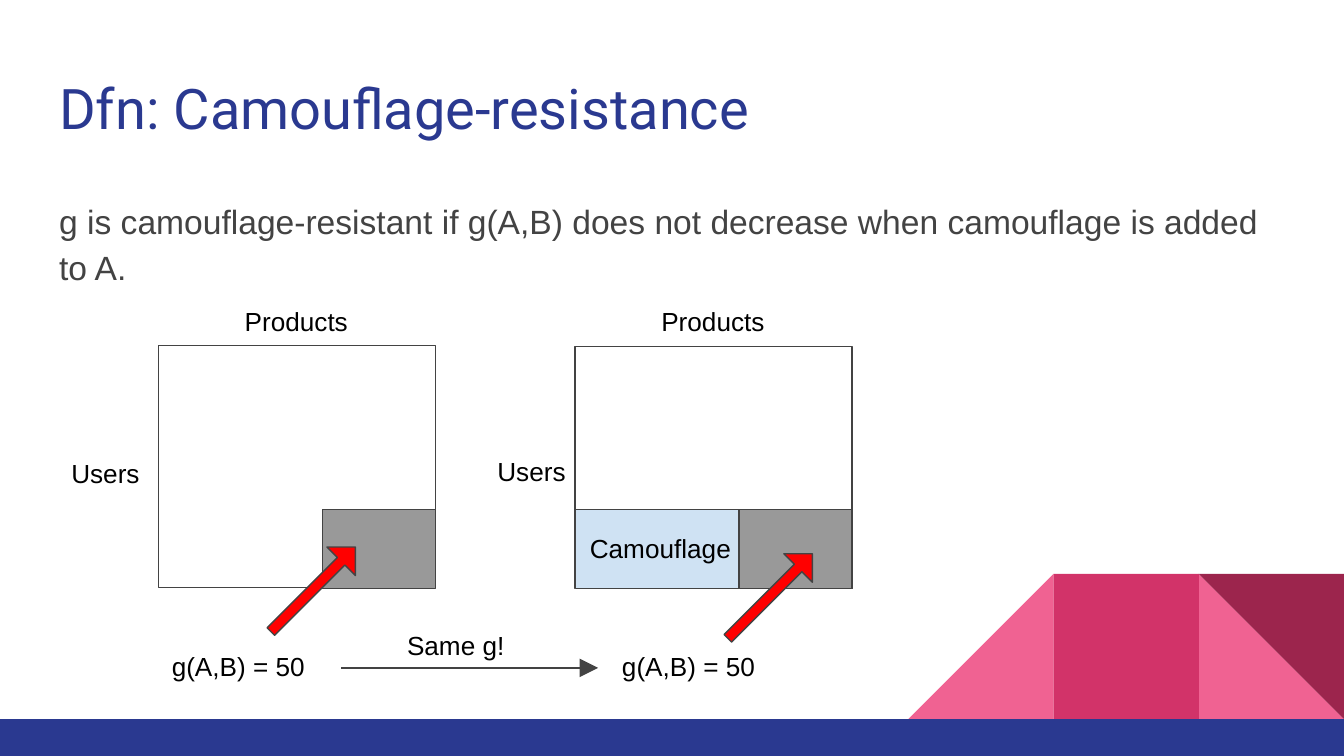
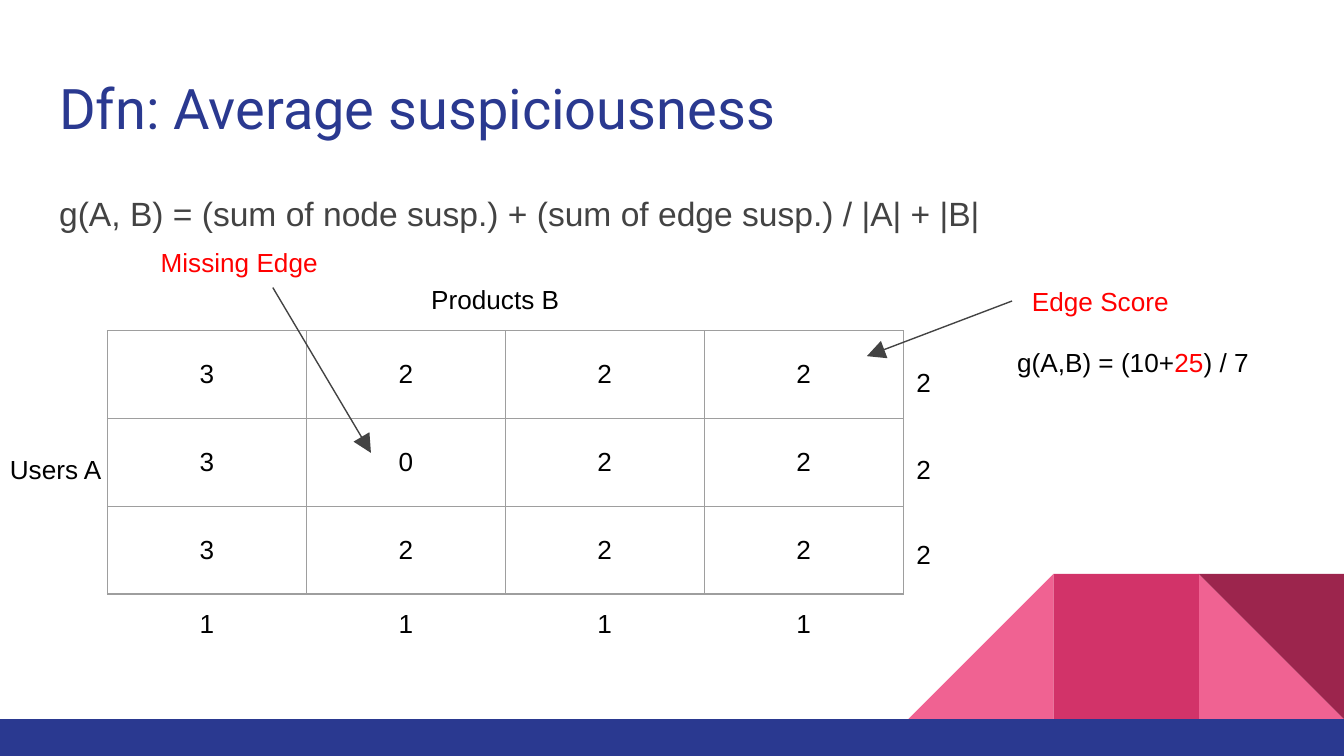
from dataclasses import dataclass

from lxml.etree import SubElement
from pptx import Presentation
from pptx.dml.color import RGBColor
from pptx.enum.shapes import MSO_CONNECTOR, MSO_SHAPE
from pptx.enum.text import MSO_ANCHOR, MSO_AUTO_SIZE, PP_ALIGN
from pptx.oxml import parse_xml
from pptx.oxml.ns import nsdecls, qn
from pptx.util import Inches, Pt


@dataclass(frozen=True)
class Theme:
    """Colours, fonts and sizes shared by the slides."""
    navy: str = "2A3990"
    pink: str = "F06292"
    rose: str = "D23369"
    wine: str = "9C254D"
    ink: str = "434343"
    black: str = "000000"
    white: str = "FFFFFF"
    red: str = "FF0000"
    gray: str = "999999"
    sky: str = "CFE2F3"
    grid: str = "9E9E9E"
    heading_font: str = "Roboto"
    text_font: str = "Arial"
    title_size: int = 30
    body_size: int = 18
    label_size: int = 14
    line_width: float = 0.75
    inset: float = 0.1


def apply_format(target, values):
    """Set each attribute named in values on target."""
    for name, value in values.items():
        setattr(target, name, value)


def box(left, top, width, height):
    """Return the position and size as lengths."""
    return [Inches(v) for v in (left, top, width, height)]


class Deck:
    """Holds the theme, the presentation and the current slide."""

    def __init__(self, theme):
        """Start a 16:9 presentation and pick its content layout."""
        self.theme = theme
        self.deck = Presentation()
        apply_format(self.deck, {"slide_width": Inches(10),
                                 "slide_height": Inches(10 * 9 / 16)})
        self.layout = self.deck.slide_layouts.get_by_name("Title and Content")
        self.slide = None

    def new_slide(self, title, body, body_top, body_height):
        """Add a slide and fill its title and body placeholders."""
        t = self.theme
        self.slide = self.deck.slides.add_slide(self.layout)
        if len(self.deck.slides) == 1:
            self.decorate_layout()
        heading, content = self.slide.placeholders
        self.placeholder(heading, title, (0.34, 0.45, 9.32, 0.66),
                         t.heading_font, t.title_size, t.navy)
        self.placeholder(content, body, (0.34, body_top, 9.32, body_height),
                         t.text_font, t.body_size, t.ink)
        paragraph = content.text_frame.paragraphs[0]
        apply_format(paragraph, {"line_spacing": 1.15, "space_before": Pt(0),
                                 "space_after": Pt(16)})
        props = paragraph._p.get_or_add_pPr()
        props.set("marL", "0")
        props.set("indent", "0")
        SubElement(props, qn("a:buNone"))

    def decorate_layout(self):
        """Draw the footer band and folded ribbon, and move them to the layout."""
        t, side, top = self.theme, 1.08, 4.27
        left = [10 - side * n for n in (3, 2, 1)]
        triangle = MSO_SHAPE.RIGHT_TRIANGLE
        right_fold = self.shape(triangle, (left[2], top, side, side), t.pink, None)
        left_fold = self.shape(triangle, (left[0], top, side, side), t.pink, None)
        left_fold.element.spPr.get_or_add_xfrm().set("flipH", "1")
        middle = self.shape(MSO_SHAPE.RECTANGLE, (left[1], top, side, side),
                            t.rose, None)
        corner = self.shape(triangle, (left[2], top, side, side), t.wine, None)
        corner.rotation = 180
        band = self.shape(MSO_SHAPE.RECTANGLE, (0, 5.35, 10, 0.28), t.navy, None)
        for number, part in enumerate((right_fold, left_fold, middle, corner, band)):
            part.element.nvSpPr.cNvPr.set("id", str(100 + number))
            self.layout.shapes.element.append(part.element)

    def font(self, font, color, size=None, name=None):
        """Format a font, by default as a label."""
        t = self.theme
        apply_format(font, {"name": name or t.text_font, "bold": False,
                            "size": Pt(size or t.label_size)})
        font.color.rgb = RGBColor.from_string(color)

    def frame(self, frame):
        """Give a text frame the shared insets and wrapping."""
        inset = Inches(self.theme.inset)
        apply_format(frame, {"margin_left": inset, "margin_right": inset,
                             "margin_top": inset, "margin_bottom": inset,
                             "word_wrap": True, "auto_size": MSO_AUTO_SIZE.NONE,
                             "vertical_anchor": MSO_ANCHOR.TOP})

    def placeholder(self, holder, text, place, name, size, color):
        """Move, fill and format a placeholder."""
        apply_format(holder, dict(zip(("left", "top", "width", "height"),
                                      box(*place))))
        self.frame(holder.text_frame)
        paragraph = holder.text_frame.paragraphs[0]
        paragraph.alignment = PP_ALIGN.LEFT
        run = paragraph.add_run()
        run.text = text
        self.font(run.font, color, size, name)

    def shape(self, kind, place, fill, line):
        """Add a filled preset shape; line is a colour or None."""
        shape = self.slide.shapes.add_shape(kind, *box(*place))
        shape.shadow.inherit = False
        shape.fill.solid()
        shape.fill.fore_color.rgb = RGBColor.from_string(fill)
        if line:
            shape.line.color.rgb = RGBColor.from_string(line)
            shape.line.width = Pt(self.theme.line_width)
        else:
            shape.line.fill.background()
        return shape

    def rectangle(self, place, fill):
        """Add an outlined rectangle."""
        return self.shape(MSO_SHAPE.RECTANGLE, place, fill, self.theme.ink)

    def pointer(self, left, top):
        """Add a red block arrow that points up and right."""
        t = self.theme
        arrow = self.shape(MSO_SHAPE.UP_ARROW, (left, top, 0.3, 0.89), t.red, t.ink)
        arrow.rotation = 45
        arrow.adjustments[0] = 0.265
        arrow.adjustments[1] = 0.5

    def label(self, place, *lines, color=None, align=PP_ALIGN.LEFT):
        """Add a text box; a line is a string or a list of (text, colour)."""
        frame = self.slide.shapes.add_textbox(*box(*place)).text_frame
        self.frame(frame)
        for number, line in enumerate(lines):
            paragraph = frame.add_paragraph() if number else frame.paragraphs[0]
            paragraph.alignment = align
            parts = [(line, color)] if isinstance(line, str) else line
            for text, part_color in parts:
                run = paragraph.add_run()
                run.text = text
                self.font(run.font, part_color or self.theme.black)
        return frame

    def centered(self, place, text, color=None):
        """Add a centred one-line label."""
        return self.label(place, text, color=color, align=PP_ALIGN.CENTER)

    def arrow(self, start, end):
        """Add a thin line with a large triangle at its end."""
        ends = [Inches(v) for v in (*start, *end)]
        line = self.slide.shapes.add_connector(MSO_CONNECTOR.STRAIGHT, *ends)
        line.line.color.rgb = RGBColor.from_string(self.theme.ink)
        line.line.width = Pt(self.theme.line_width)
        SubElement(line.line._get_or_add_ln(), qn("a:tailEnd"),
                   type="triangle", w="lg", len="lg")
        SubElement(line.element.spPr, qn("a:effectLst"))

    def table(self, place, rows):
        """Add a plain grid of centred values."""
        table = self.slide.shapes.add_table(len(rows), len(rows[0]),
                                            *box(*place)).table
        apply_format(table, {"first_row": False, "horz_banding": False})
        inset = Inches(self.theme.inset)
        for r, values in enumerate(rows):
            for c, value in enumerate(values):
                cell = table.cell(r, c)
                apply_format(cell, {"text": str(value),
                                    "vertical_anchor": MSO_ANCHOR.MIDDLE,
                                    "margin_left": inset, "margin_right": inset,
                                    "margin_top": inset, "margin_bottom": inset})
                paragraph = cell.text_frame.paragraphs[0]
                paragraph.alignment = PP_ALIGN.CENTER
                self.font(paragraph.runs[0].font, self.theme.black)
                cell.fill.background()
                self.borders(cell)

    def borders(self, cell):
        """Draw a thin line on all four sides of a cell."""
        props = cell._tc.get_or_add_tcPr()
        for index, side in enumerate(("lnL", "lnR", "lnT", "lnB")):
            props.insert(index, parse_xml(
                f'<a:{side} {nsdecls("a")} w="{Pt(self.theme.line_width)}">'
                f'<a:solidFill><a:srgbClr val="{self.theme.grid}"/></a:solidFill>'
                f'</a:{side}>'))

    def matrix(self, left, top, users_at, score_left, pointer_at, camouflage):
        """Draw a users-by-products matrix with its dense block and score."""
        t = self.theme
        block_top, block_height, split = 3.79, 0.59, 1.22
        self.rectangle((left, top, 2.06, 1.8), t.white)
        self.rectangle((left + split, block_top, 0.84, block_height), t.gray)
        if camouflage:
            self.rectangle((left, block_top, split, block_height), t.sky)
            self.label((left + 0.01, 3.86, 1.43, 0.45), camouflage)
        self.pointer(*pointer_at)
        self.centered((left + 0.31, 2.17, 1.43, 0.35), "Products")
        self.centered((*users_at, 1.43, 0.35), "Users")
        self.label((score_left, 4.74, 1.43, 0.45), "g(A,B) = 50")


def camouflage_slide(deck):
    """Compare the score before and after camouflage is added."""
    deck.new_slide("Dfn: Camouflage-resistance",
                   "g is camouflage-resistant if g(A,B) does not decrease "
                   "when camouflage is added to A.", 1.35, 0.93)
    deck.matrix(1.18, 2.57, (0.07, 3.3), 1.18, (2.18, 3.94), None)
    deck.matrix(4.28, 2.58, (3.24, 3.29), 4.53, (5.58, 3.99), "Camouflage")
    deck.arrow((2.54, 4.97), (4.45, 4.97))
    deck.label((2.93, 4.58, 1.75, 0.35), "Same g!")


def suspiciousness_slide(deck):
    """Show edge and node scores on a small matrix."""
    t = deck.theme
    deck.new_slide("Dfn: Average suspiciousness",
                   "g(A, B) = (sum of node susp.) + (sum of edge susp.) "
                   "/ |A| + |B|", 1.29, 0.66)
    left, top, width, height = 0.8, 2.46, 5.92, 1.96
    edges = [[3, 2, 2, 2], [3, 0, 2, 2], [3, 2, 2, 2]]
    column = width / len(edges[0])
    deck.table((left, top, width, height), edges)
    deck.centered((1.5, 2.01, 4.37, 0.41), "Products B")
    deck.centered((-0.17, 3.27, 1.17, 0.41), "Users A")
    for user in range(len(edges)):
        deck.label((left + width, 2.63 + 0.64 * user, 1.82, 0.66), "2")
    for product in range(len(edges[0])):
        deck.centered((left + column * product, top + height, column, 0.66), "1")
    deck.arrow((7.53, 2.24), (6.45, 2.65))
    score = deck.label((7.47, 2.02, 2.13, 0.86), [("Edge Score", t.red)],
                       [("g(A,B) = (10+", t.black), ("25", t.red),
                        (") / 7", t.black)])
    edge_line, total_line = score.paragraphs
    edge_line._p.get_or_add_pPr().set("marL", str(Inches(0.11)))
    total_line.space_before = Pt(16)
    deck.arrow((2.03, 2.14), (2.76, 3.37))
    deck.centered((0.27, 1.73, 3.02, 0.41), "Missing Edge", t.red)


def main():
    """Build and save both slides."""
    deck = Deck(Theme())
    camouflage_slide(deck)
    suspiciousness_slide(deck)
    deck.deck.save("out.pptx")


main()
